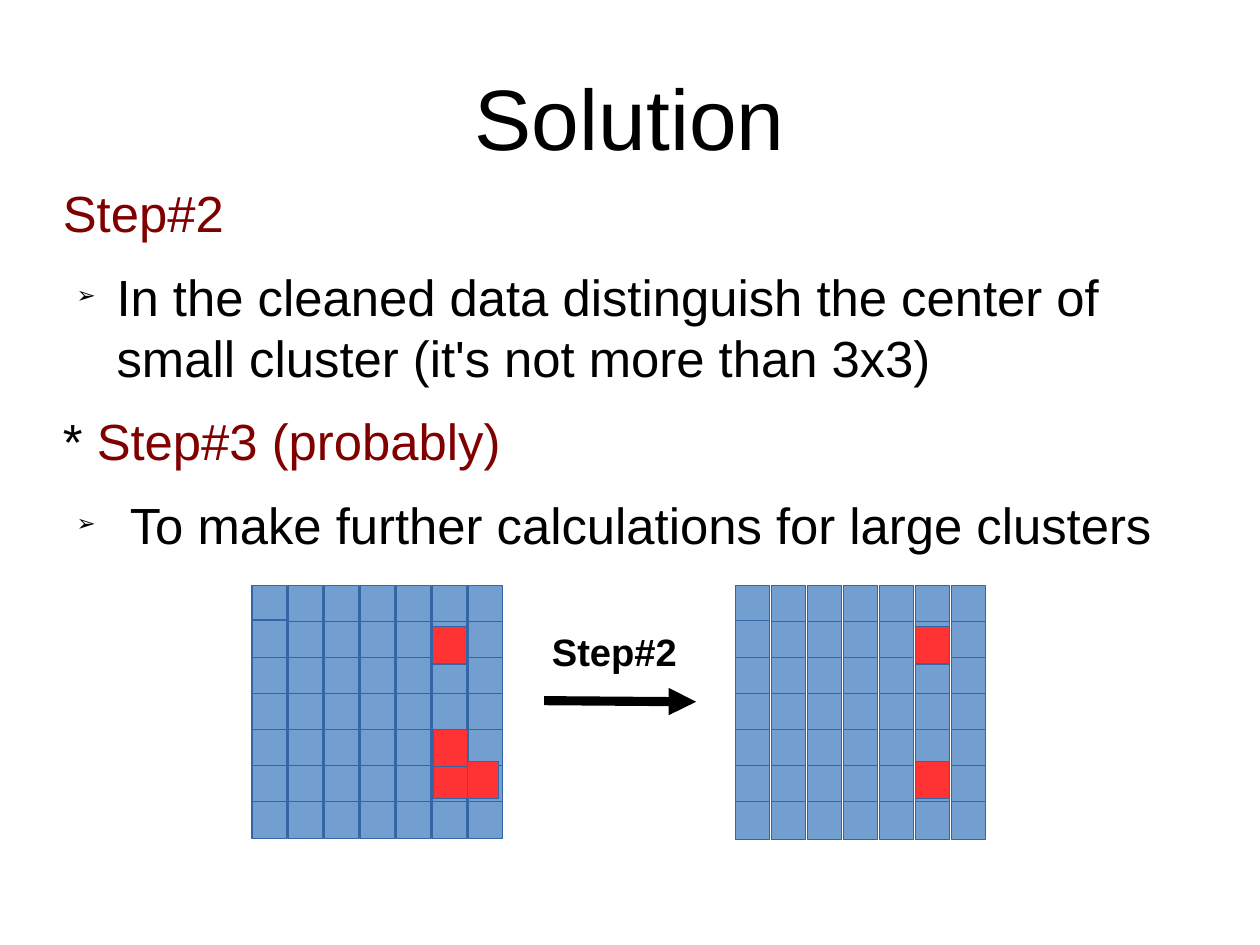
"""Build the Solution slide: two steps and the cluster grids before and after step 2."""
from lxml import etree
from pptx import Presentation
from pptx.dml.color import RGBColor
from pptx.enum.shapes import MSO_CONNECTOR, MSO_SHAPE
from pptx.enum.text import MSO_ANCHOR, MSO_AUTO_SIZE, PP_ALIGN
from pptx.oxml.ns import qn
from pptx.util import Inches, Pt

PROCESS = MSO_SHAPE.FLOWCHART_PROCESS
STRAIGHT = MSO_CONNECTOR.STRAIGHT
MIDDLE = MSO_ANCHOR.MIDDLE
NO_AUTOFIT = MSO_AUTO_SIZE.NONE
CENTER = PP_ALIGN.CENTER

FONT = "Arial"
COLORS = {"black": "000000", "step": "800000", "cell": "729FCF",
          "cluster": "FF3333", "outline": "3465A4"}
GRID_SIZE = 7
PITCH = 1.89 / 6


def style(font, size, color, bold=False):
    font.name = FONT
    font.size = Pt(size)
    font.bold = bold
    font.color.rgb = RGBColor.from_string(COLORS[color])


def add_cell(left, top, color):
    cell = slide.shapes.add_shape(PROCESS, Inches(left), Inches(top), Inches(0.3), Inches(0.33))
    cell.shadow.inherit = False
    cell.fill.solid()
    cell.fill.fore_color.rgb = RGBColor.from_string(COLORS[color])
    cell.line.color.rgb = RGBColor.from_string(COLORS["outline"])
    cell.line.width = Pt(0)


prs = Presentation()
prs.slide_width = Inches(28 / 2.54)
prs.slide_height = Inches(21 / 2.54)
slide = prs.slides.add_slide(prs.slide_layouts[1])

title = slide.shapes.title
steps = slide.placeholders[1]
for holder, top, height in ((title, 0.33, 1.38), (steps, 1.59, 4.79)):
    holder.left, holder.top = Inches(0.55), Inches(top)
    holder.width, holder.height = Inches(9.92), Inches(height)
    frame = holder.text_frame
    frame.auto_size = NO_AUTOFIT
    frame.margin_left = frame.margin_top = frame.margin_right = frame.margin_bottom = 0

title.text_frame.text = "Solution"
title.text_frame.vertical_anchor = MIDDLE
heading = title.text_frame.paragraphs[0]
heading.alignment = CENTER
style(heading.font, 54, "black")

step_lines = [
    (False, [("Step#2", "step")]),
    (True, [("In the cleaned data distinguish the center of small cluster "
             "(it's not more than 3x3)", "black")]),
    (False, [("* ", "black"), ("Step#3 (probably)", "step")]),
    (True, [(" To make further calculations for large clusters", "black")]),
]
for index, (bulleted, pieces) in enumerate(step_lines):
    line = steps.text_frame.paragraphs[0] if index == 0 else steps.text_frame.add_paragraph()
    line.space_before = Pt(0)
    line.space_after = Pt(14.2)
    props = line._p.get_or_add_pPr()
    props.set("marL", str(Inches(0.47) if bulleted else 0))
    props.set("indent", str(Inches(-0.35) if bulleted else 0))
    if bulleted:
        bullet_color = etree.SubElement(props, qn("a:buClr"))
        etree.SubElement(bullet_color, qn("a:srgbClr"), val=COLORS["black"])
        etree.SubElement(props, qn("a:buSzPct"), val="45000")
        etree.SubElement(props, qn("a:buChar"), char="➢")
    else:
        etree.SubElement(props, qn("a:buNone"))
    style(line.font, 32, pieces[0][1])
    for text, color in pieces:
        run = line.add_run()
        run.text = text
        if color != pieces[0][1]:
            run.font.color.rgb = RGBColor.from_string(COLORS[color])

grids = [
    (2.52 - PITCH, 5.12, [(3.78, 5.48), (4.06, 6.66), (3.79, 6.66), (3.79, 6.38)]),
    (6.75 - PITCH, 5.44 - PITCH, [(8.01, 5.48), (8.01, 6.66)]),
]
for grid_left, grid_top, clusters in grids:
    for row in range(GRID_SIZE):
        for column in range(GRID_SIZE):
            lift = 0.01 if (row, column) == (1, 0) else 0
            add_cell(grid_left + column * PITCH, grid_top + row * PITCH - lift, "cell")
    for cluster_left, cluster_top in clusters:
        add_cell(cluster_left, cluster_top, "cluster")

arrow = slide.shapes.add_connector(STRAIGHT, Inches(4.76), Inches(6.13), Inches(6.09), Inches(6.14))
arrow.line.color.rgb = RGBColor.from_string(COLORS["black"])
arrow.line.width = Pt(5.75)
etree.SubElement(arrow.line._get_or_add_ln(), qn("a:tailEnd"), type="triangle")
etree.SubElement(arrow._element.spPr, qn("a:effectLst"))

arrow_label = slide.shapes.add_textbox(Inches(4.73), Inches(5.45), Inches(1.29), Inches(0.47))
arrow_label.text_frame.word_wrap = False
arrow_label.text_frame.text = "Step#2"
style(arrow_label.text_frame.paragraphs[0].font, 24, "black", bold=True)

prs.save("out.pptx")
